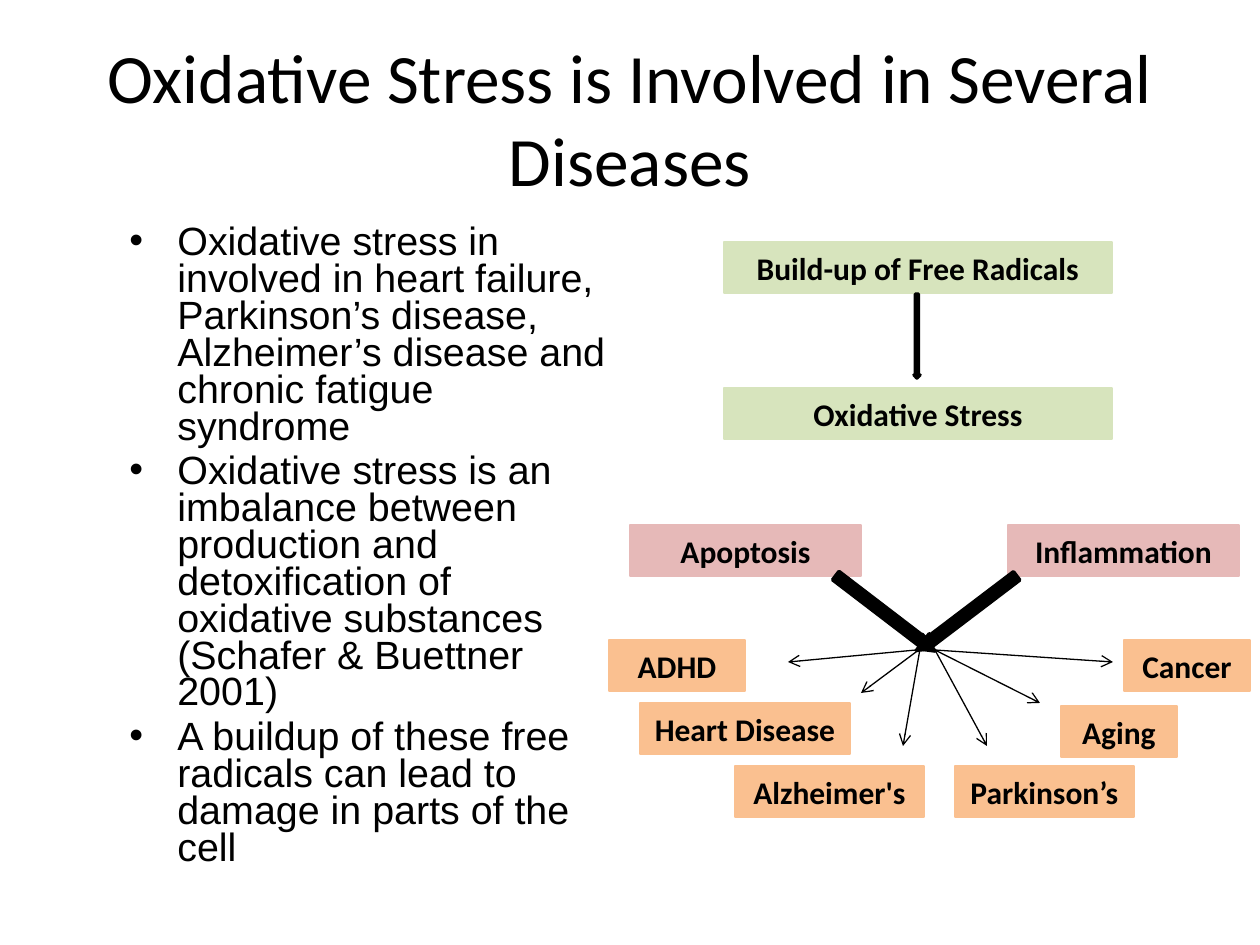
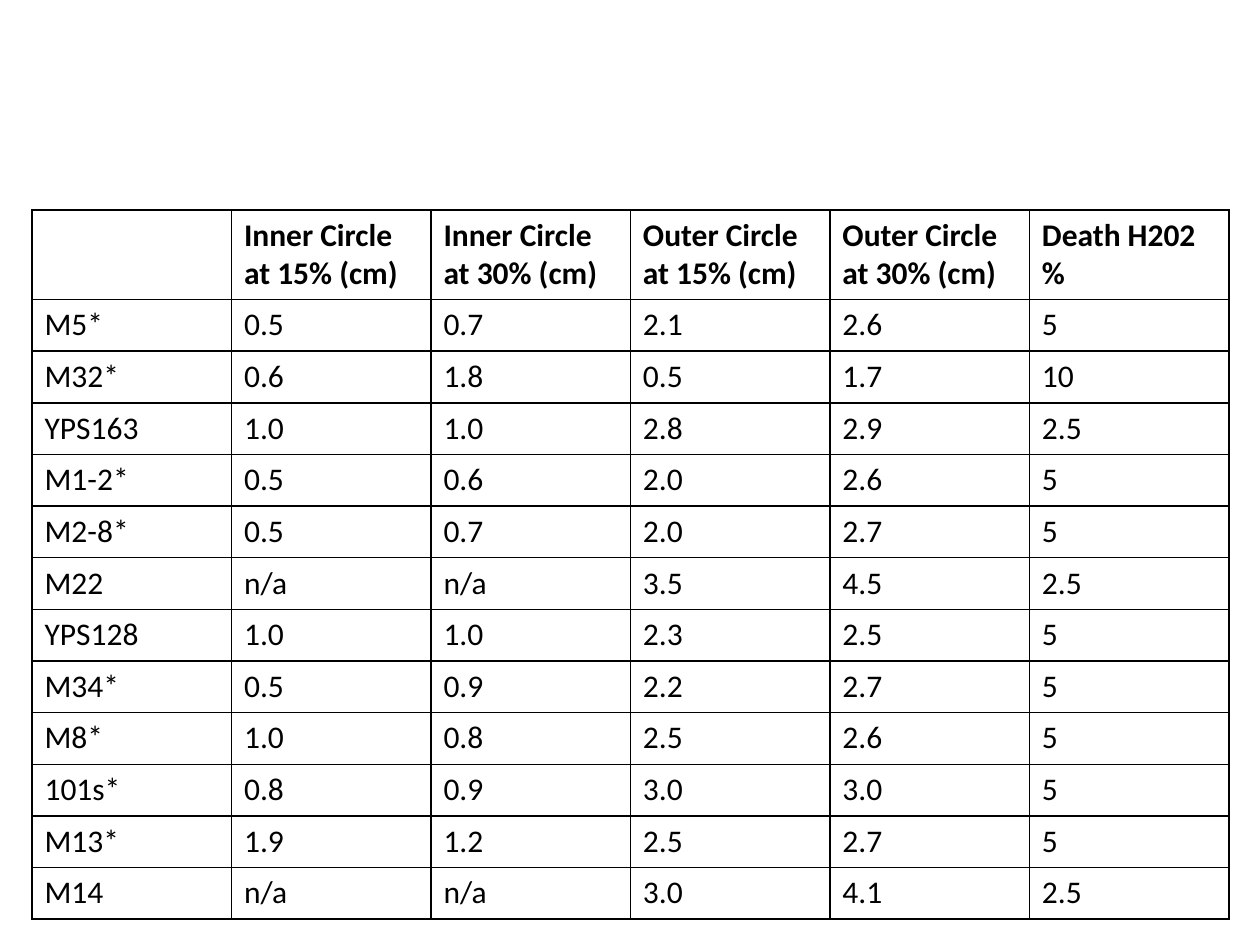
from pptx import Presentation
from pptx.dml.color import RGBColor
from pptx.enum.shapes import MSO_CONNECTOR, MSO_SHAPE
from pptx.enum.text import MSO_ANCHOR as Anchor, PP_ALIGN as Align
from pptx.oxml.ns import qn
from pptx.util import Emu, Pt
from lxml.etree import SubElement

BLACK = RGBColor(0x00, 0x00, 0x00)
WHITE = RGBColor(0xFF, 0xFF, 0xFF)
GREEN = RGBColor(0xD7, 0xE4, 0xBD)
PINK = RGBColor(0xE6, 0xB9, 0xB8)
ORANGE = RGBColor(0xFA, 0xC0, 0x90)


def px(*lengths):
    """Turn pixels (126 to the inch) into EMU, one value or a list."""
    values = [Emu(round(length * 914400 / 126)) for length in lengths]
    return values if len(values) > 1 else values[0]


def style(paragraph, size, name="Calibri", bold=False, align=Align.LEFT):
    paragraph.alignment = align
    font = paragraph.font
    font.size, font.name, font.bold = Pt(size), name, bold
    font.color.rgb = BLACK


presentation = Presentation()
presentation.slide_width, presentation.slide_height = px(1260, 945)
blank = presentation.slide_layouts[6]

# Slide 1: causes and diseases
slide = presentation.slides.add_slide(blank)
title = slide.shapes.add_textbox(*px(63, 38, 1134, 158)).text_frame
title.word_wrap = True
title.vertical_anchor = Anchor.MIDDLE
title.text = "Oxidative Stress is Involved in Several Diseases"
style(title.paragraphs[0], 39.6, align=Align.CENTER)

body = slide.shapes.add_textbox(*px(63, 220, 557, 624)).text_frame
body.word_wrap = True
body.text = "\n".join([
    "Oxidative stress in involved in heart failure, Parkinson’s disease, "
    "Alzheimer’s disease and chronic fatigue syndrome",
    "Oxidative stress is an imbalance between production and detoxification "
    "of oxidative substances (Schafer & Buettner 2001)",
    "A buildup of these free radicals can lead to damage in parts of the cell",
])
for paragraph in body.paragraphs:
    properties = paragraph._p.get_or_add_pPr()
    properties.set("marL", str(px(102)))
    properties.set("indent", str(px(-48)))
    SubElement(properties, qn("a:buFont"), typeface="Arial")
    SubElement(properties, qn("a:buChar"), char="•")
    paragraph.line_spacing = 0.78
    paragraph.space_before = Pt(4.5)
    style(paragraph, 22.5, "Arial")

BOX_HEIGHT = 51
boxes = [
    ("Build-up of Free Radicals", 724, 242, 388, GREEN),
    ("Oxidative Stress", 724, 388, 388, GREEN),
    ("Inflammation", 1008, 525, 231, PINK),
    ("Apoptosis", 630, 525, 231, PINK),
    ("Alzheimer's", 735, 766, 189, ORANGE),
    ("Cancer", 1124, 640, 126, ORANGE),
    ("Parkinson’s", 955, 766, 179, ORANGE),
    ("Heart Disease", 640, 703, 210, ORANGE),
    ("Aging", 1061, 706, 116, ORANGE),
    ("ADHD", 609, 640, 136, ORANGE),
]
for label, left, top, width, color in boxes:
    box = slide.shapes.add_shape(
        MSO_SHAPE.RECTANGLE, *px(left, top, width, BOX_HEIGHT))
    box.shadow.inherit = False
    box.fill.solid()
    box.fill.fore_color.rgb = color
    box.line.color.rgb = color
    box.line.width = Pt(0.75)
    box.text_frame.word_wrap = False
    box.text_frame.text = label
    style(box.text_frame.paragraphs[0], 18, bold=True, align=Align.CENTER)

block_arrows = [
    (914, 294, 6, 84, 0),
    (873, 552, 21, 120, 307.4),
    (958, 552, 21, 121, 52.8),
]
for left, top, width, height, rotation in block_arrows:
    arrow = slide.shapes.add_shape(
        MSO_SHAPE.DOWN_ARROW, *px(left, top, width, height))
    arrow.shadow.inherit = False
    arrow.rotation = rotation
    arrow.fill.solid()
    arrow.fill.fore_color.rgb = BLACK
    arrow.line.color.rgb = BLACK
    arrow.line.width = Pt(2)

disease_arrows = [
    (935, 650, 987, 746),
    (935, 650, 1040, 703),
    (935, 650, 1113, 662),
    (916, 650, 788, 662),
    (920, 649, 903, 746),
    (920, 649, 861, 693),
]
for ends in disease_arrows:
    connector = slide.shapes.add_connector(MSO_CONNECTOR.STRAIGHT, *px(*ends))
    connector.line.color.rgb = BLACK
    connector.line.width = Pt(0.75)
    properties = connector._element.spPr
    SubElement(properties.find(qn("a:ln")), qn("a:tailEnd"), type="arrow")
    SubElement(properties, qn("a:effectLst"))

# Slide 2: measurements of each strain
slide = presentation.slides.add_slide(blank)
measurements = [
    ("", "Inner Circle at 15% (cm)", "Inner Circle at 30% (cm)",
     "Outer Circle at 15% (cm)", "Outer Circle at 30% (cm)", "Death H202 %"),
    ("M5*", "0.5", "0.7", "2.1", "2.6", "5"),
    ("M32*", "0.6", "1.8", "0.5", "1.7", "10"),
    ("YPS163", "1.0", "1.0", "2.8", "2.9", "2.5"),
    ("M1-2*", "0.5", "0.6", "2.0", "2.6", "5"),
    ("M2-8*", "0.5", "0.7", "2.0", "2.7", "5"),
    ("M22", "n/a", "n/a", "3.5", "4.5", "2.5"),
    ("YPS128", "1.0", "1.0", "2.3", "2.5", "5"),
    ("M34*", "0.5", "0.9", "2.2", "2.7", "5"),
    ("M8*", "1.0", "0.8", "2.5", "2.6", "5"),
    ("101s*", "0.8", "0.9", "3.0", "3.0", "5"),
    ("M13*", "1.9", "1.2", "2.5", "2.7", "5"),
    ("M14", "n/a", "n/a", "3.0", "4.1", "2.5"),
]
HEADER_HEIGHT, TABLE_HEIGHT = 89, 709
row_count, column_count = len(measurements), len(measurements[0])
table = slide.shapes.add_table(
    row_count, column_count, *px(32, 210, 1197, TABLE_HEIGHT)).table
table.first_row = table.horz_banding = False
for row in table.rows:
    row.height = px(TABLE_HEIGHT - HEADER_HEIGHT) // (row_count - 1)
table.rows[0].height = px(HEADER_HEIGHT)

for row_index, values in enumerate(measurements):
    for column_index, value in enumerate(values):
        cell = table.cell(row_index, column_index)
        cell.text = value
        style(cell.text_frame.paragraphs[0], 18, bold=row_index == 0)
        properties = cell._tc.get_or_add_tcPr()
        for side in ("lnL", "lnR", "lnT", "lnB"):
            border = SubElement(properties, qn(f"a:{side}"), w=str(Pt(1)))
            fill = SubElement(border, qn("a:solidFill"))
            SubElement(fill, qn("a:srgbClr"), val=str(BLACK))
        cell.fill.solid()
        cell.fill.fore_color.rgb = WHITE

presentation.save("out.pptx")
